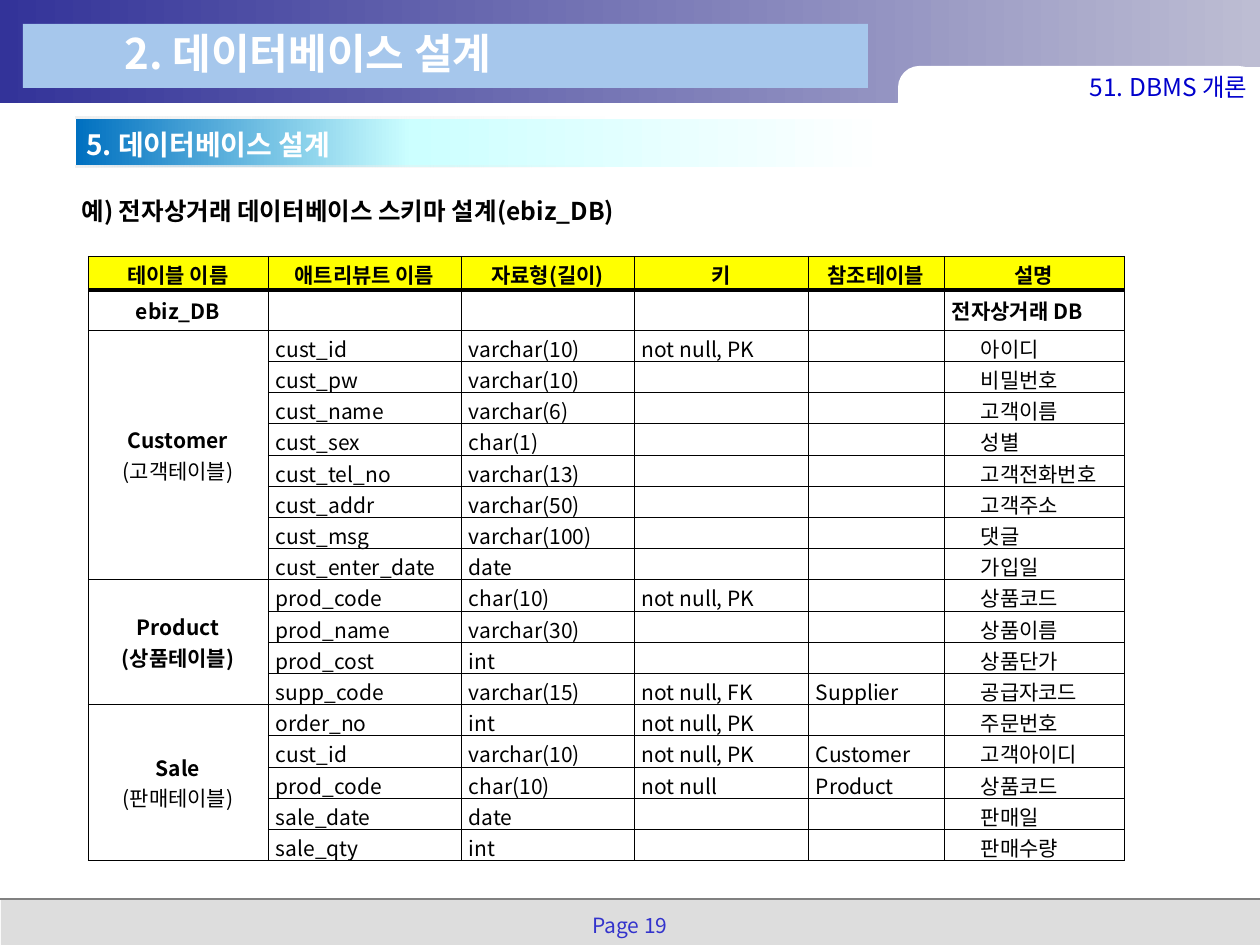
from dataclasses import dataclass
from pptx import Presentation
from pptx.dml.color import RGBColor
from pptx.enum.shapes import MSO_CONNECTOR, MSO_SHAPE
from pptx.enum.text import MSO_ANCHOR, MSO_AUTO_SIZE, PP_ALIGN
from pptx.oxml import parse_xml
from pptx.oxml.ns import nsdecls, qn
from pptx.util import Pt


@dataclass(frozen=True)
class Theme:
    font: str = "Noto Sans CJK KR"
    black: str = "000000"
    white: str = "FFFFFF"
    head: str = "FFFF00"
    plate: str = "A6C7EC"
    foot: str = "DDDDDD"
    rule: str = "808080"
    page: str = "3333CC"
    label: str = "0000CC"
    shade: str = "000080"
    top: tuple = ((0, "333399", 100), (100, "BDBDD3", 100))
    band: tuple = ((0, "0070C0", 100), (40, "CCFFFF", 100), (97, "FFFFFF", 100))
    edge: tuple = ((0, "F0F0F0", 100), (100, "EAEAEA", 0))
    small: int = 12
    mid: int = 14
    sub: int = 16
    big: int = 24


T = Theme()
THIN, THICK = 0.28, 1.98
COLS = (180, 193, 173, 174, 136, 180)
HEADS = ("테이블 이름", "애트리뷰트 이름", "자료형(길이)", "키", "참조테이블", "설명")
PK = "not null, PK"
# Each group: name, caption, bold caption, rows of (attribute, type, key, reference, note)
GROUPS = (
    ("Customer", "(고객테이블)", False, (
        ("cust_id", "varchar(10)", PK, "", "아이디"),
        ("cust_pw", "varchar(10)", "", "", "비밀번호"),
        ("cust_name", "varchar(6)", "", "", "고객이름"),
        ("cust_sex", "char(1)", "", "", "성별"),
        ("cust_tel_no", "varchar(13)", "", "", "고객전화번호"),
        ("cust_addr", "varchar(50)", "", "", "고객주소"),
        ("cust_msg", "varchar(100)", "", "", "댓글"),
        ("cust_enter_date", "date", "", "", "가입일"))),
    ("Product", "(상품테이블)", True, (
        ("prod_code", "char(10)", PK, "", "상품코드"),
        ("prod_name", "varchar(30)", "", "", "상품이름"),
        ("prod_cost", "int", "", "", "상품단가"),
        ("supp_code", "varchar(15)", "not null, FK", "Supplier", "공급자코드"))),
    ("Sale", "(판매테이블)", False, (
        ("order_no", "int", PK, "", "주문번호"),
        ("cust_id", "varchar(10)", PK, "Customer", "고객아이디"),
        ("prod_code", "char(10)", "not null", "Product", "상품코드"),
        ("sale_date", "date", "", "", "판매일"),
        ("sale_qty", "int", "", "", "판매수량"))),
)


def px(n):
    return round(n * 914400 / 126)


def rgb(color):
    return RGBColor.from_string(color)


def style(font, size, color, bold=False):
    font.name, font.size, font.bold = T.font, Pt(size), bold
    font.color.rgb = rgb(color)


def write(para, text, size, color, bold=False, align=PP_ALIGN.LEFT):
    para.alignment = align
    run = para.add_run()
    run.text = text
    style(run.font, size, color, bold)
    fonts = f'<a:ea {nsdecls("a")} typeface="{T.font}"/>'
    run.font._element.append(parse_xml(fonts))
    return run


def block(shapes, x, y, w, h, fill, kind=MSO_SHAPE.RECTANGLE):
    """Add a borderless shape; a tuple fill holds gradient stops."""
    shape = shapes.add_shape(kind, px(x), px(y), px(w), px(h))
    shape.shadow.inherit = False
    shape.line.fill.background()
    if isinstance(fill, str):
        shape.fill.solid()
        shape.fill.fore_color.rgb = rgb(fill)
        return shape
    shape.fill.background()
    stops = "".join(
        f'<a:gs pos="{at * 1000}"><a:srgbClr val="{color}">'
        f'<a:alpha val="{alpha * 1000}"/></a:srgbClr></a:gs>'
        for at, color, alpha in fill)
    grad = parse_xml(f'<a:gradFill {nsdecls("a")} rotWithShape="1">'
                     f'<a:gsLst>{stops}</a:gsLst><a:lin ang="0" scaled="0"/></a:gradFill>')
    props = shape._element.spPr
    props.replace(props.find(qn("a:noFill")), grad)
    return shape


def label(shapes, x, y, w, h, *args, **more):
    box = shapes.add_textbox(px(x), px(y), px(w), px(h))
    frame = box.text_frame
    frame.word_wrap = True
    frame.vertical_anchor = MSO_ANCHOR.MIDDLE
    return write(frame.paragraphs[0], *args, **more)


def header(slide, x, y, w):
    shapes = slide.shapes
    block(shapes, x, y, w, 103, T.top)
    tab = block(shapes, x + 898, y + 66, 362, 74, T.white, MSO_SHAPE.ROUNDED_RECTANGLE)
    tab.adjustments[0] = 0.29
    block(shapes, x + 1147, y + 67, 113, 30, T.white)
    block(shapes, x + 23, y + 24, 845, 64, T.plate)
    # Title sits above the plate
    title = shapes.title
    title.left, title.top, title.width, title.height = map(px, (x + 112, y + 21, 626, 63))
    frame = title.text_frame
    frame.auto_size = MSO_AUTO_SIZE.NONE
    frame.vertical_anchor = MSO_ANCHOR.MIDDLE
    write(frame.paragraphs[0], "2. 데이터베이스 설계", T.big, T.white, True)
    shapes._spTree.append(title._element)
    label(shapes, x + 1022, y + 67, 238, 40, "51. DBMS 개론",
          T.mid, T.label, align=PP_ALIGN.RIGHT)


def footer(slide, x, y, w, h):
    block(slide.shapes, x + 1, y, w - 1, h, T.foot)
    rule = slide.shapes.add_connector(MSO_CONNECTOR.STRAIGHT, px(x), px(y), px(x + w), px(y))
    rule.line.color.rgb = rgb(T.rule)
    rule.line.width = Pt(1)
    rule._element.spPr.append(parse_xml(f'<a:effectLst {nsdecls("a")}/>'))
    label(slide.shapes, x + 573, y + 8, 114, 36, "Page 19",
          T.small, T.page, align=PP_ALIGN.CENTER)


def section(slide, x, y, w):
    group = slide.shapes.add_group_shape().shapes
    block(group, x, y + 2, w, 48, T.band)
    for dy in (0, 49):
        block(group, x, y + dy, 530, 2, T.edge)
    run = label(group, x - 2, y + 4, w + 4, 47, "5. 데이터베이스 설계", T.sub, T.white, True)
    # Text shadow follows the run's fill
    run.font._element.find(qn("a:solidFill")).addnext(parse_xml(
        f'<a:effectLst {nsdecls("a")}><a:outerShdw dist="25400" dir="2700000">'
        f'<a:srgbClr val="{T.shade}"/></a:outerShdw></a:effectLst>'))


def border(cell, widths):
    props = cell._tc.get_or_add_tcPr()
    for i, (side, width) in enumerate(zip("LRTB", widths)):
        props.insert(i, parse_xml(
            f'<a:ln{side} {nsdecls("a")} w="{Pt(width)}"><a:solidFill>'
            f'<a:srgbClr val="{T.black}"/></a:solidFill></a:ln{side}>'))


def fill(cell, lines, align, indent=0):
    """Write (text, bold) lines into a cell."""
    cell.margin_left, cell.margin_right = px(8 + indent), px(8)
    cell.margin_top = cell.margin_bottom = px(3)
    cell.vertical_anchor = MSO_ANCHOR.MIDDLE
    frame = cell.text_frame
    for i, (text, bold) in enumerate(lines):
        para = frame.add_paragraph() if i else frame.paragraphs[0]
        if text:
            write(para, text, T.small, T.black, bold, align)
        else:
            para._p.append(parse_xml(f'<a:endParaRPr {nsdecls("a")} sz="{T.small * 100}"/>'))


def schema(slide, x, y):
    rows = [34, 40] + [29 + i % 2 for i in range(sum(len(g[3]) for g in GROUPS))]
    table = slide.shapes.add_table(len(rows), len(COLS), px(x), px(y),
                                   px(sum(COLS)), px(sum(rows))).table
    table.first_row = table.horz_banding = False
    for col, w in zip(table.columns, COLS):
        col.width = px(w)
    for r, (row, h) in enumerate(zip(table.rows, rows)):
        row.height = px(h)
        for cell in row.cells:
            if r:
                cell.fill.background()
            else:
                cell.fill.solid()
                cell.fill.fore_color.rgb = rgb(T.head)
            border(cell, (THIN, THIN, THICK if r == 1 else THIN, THIN if r else THICK))
    # Heading and database rows
    mid, just = PP_ALIGN.CENTER, PP_ALIGN.JUSTIFY
    for c, text in enumerate(HEADS):
        fill(table.cell(0, c), [(text, True)], mid)
    for c, text in enumerate(("ebiz_DB", "", "", "", "", "전자상거래 DB")):
        fill(table.cell(1, c), [(text, True)], just if c else mid)
    # One merged name cell for each group
    r = 2
    for name, note, bold, items in GROUPS:
        table.cell(r, 0).merge(table.cell(r + len(items) - 1, 0))
        fill(table.cell(r, 0), [(name, True), (note, bold)], mid)
        for item in items:
            for c, text in enumerate(item, 1):
                fill(table.cell(r, c), [(text, False)], just, 29 if c == 5 else 0)
            r += 1


def main():
    deck = Presentation()
    deck.slide_width, deck.slide_height = px(1260), px(945)
    slide = deck.slides.add_slide(deck.slide_layouts[5])
    footer(slide, 0, 899, 1260, 46)
    header(slide, 0, 0, 1260)
    schema(slide, 88, 256)
    label(slide.shapes, 69, 189, 760, 44, "예) 전자상거래 데이터베이스 스키마 설계(ebiz_DB)",
          T.mid, T.black, True)
    section(slide, 76, 117, 840)
    deck.save("out.pptx")


if __name__ == "__main__":
    main()
